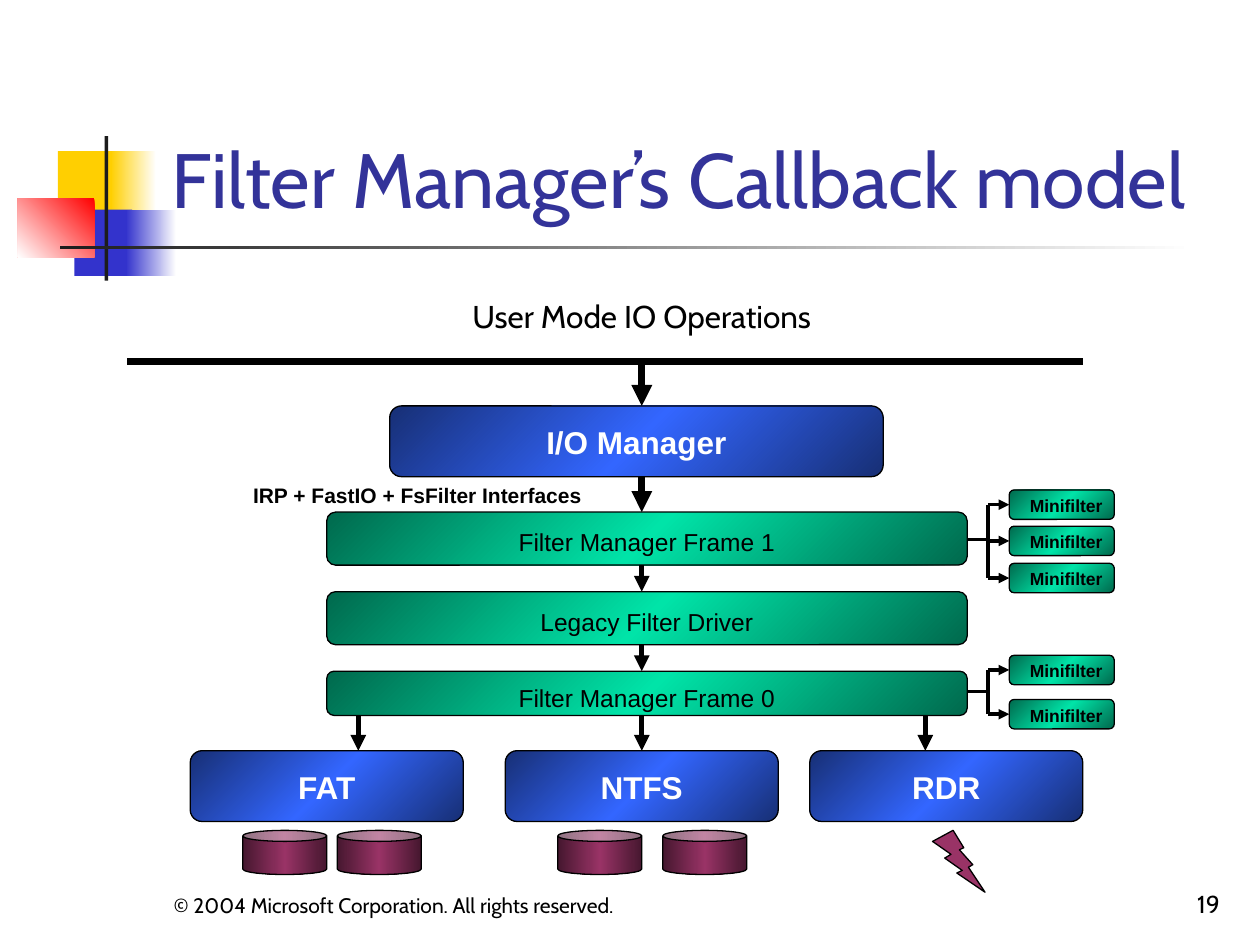
from dataclasses import dataclass

from lxml import etree
from pptx import Presentation
from pptx import util as u
from pptx.dml.color import RGBColor
from pptx.enum import shapes, text
from pptx.oxml import ns

WIDTH, HEIGHT = 10, 7.5
# Diagram grid: columns of 1/12 inch, and 61 rows from the heading to the disks
LEFT, TOP = 1.01, 2.31
COL, ROW = 1 / 12, 4.28 / 61


@dataclass(frozen=True)
class Theme:
    heading_font: str = "Cabin"
    diagram_font: str = "Arial"
    black: str = "000000"
    white: str = "FFFFFF"
    title: str = "333399"
    yellow: str = "FFCF01"
    indigo: str = "3333CC"
    red: str = "FF0000"
    ink: str = "1C1C1C"
    plum: str = "993366"
    blue_fade: tuple = ("172F75", "3366FF", "172F75")
    green_fade: tuple = ("00694D", "00E4A8", "00694D")
    plum_fade: tuple = ("46172F", "993366", "46172F")
    title_size: int = 44
    large: int = 18
    medium: int = 14
    small: int = 12
    tiny: int = 10


THEME = Theme()
KIND = shapes.MSO_SHAPE
ALIGN = text.PP_ALIGN
ANCHOR = text.MSO_ANCHOR


def share(x, y, width, height):
    """Frame given as shares of the slide's size."""
    return [u.Inches(n) for n in (x * WIDTH, y * HEIGHT, width * WIDTH, height * HEIGHT)]


def point(col, row):
    return u.Inches(LEFT + col * COL), u.Inches(TOP + row * ROW)


def cells(col, row, cols, rows):
    """Frame given in columns and rows of the diagram grid."""
    return [*point(col, row), u.Inches(cols * COL), u.Inches(rows * ROW)]


def write(shape, words, *, size, font=THEME.diagram_font, color=THEME.black, bold=False,
          align=ALIGN.CENTER, anchor=ANCHOR.TOP, insets=(0.1, 0.05, 0.1, 0.05), wrap=True):
    frame = shape.text_frame
    frame.auto_size = text.MSO_AUTO_SIZE.NONE
    frame.word_wrap = wrap
    frame.vertical_anchor = anchor
    (frame.margin_left, frame.margin_top,
     frame.margin_right, frame.margin_bottom) = map(u.Inches, insets)
    para = frame.paragraphs[0]
    para.alignment = align
    span = para.add_run()
    span.text = words
    span.font.name, span.font.size, span.font.bold = font, u.Pt(size), bold
    span.font.color.rgb = RGBColor.from_string(color)


def paint(shape, fill, angle):
    """Fill with one colour, or with evenly spaced stops along a clockwise angle."""
    if isinstance(fill, str):
        shape.fill.solid()
        shape.fill.fore_color.rgb = RGBColor.from_string(fill)
        return
    shape.fill.gradient()
    shape.fill.gradient_angle = 360 - angle
    stops = shape._element.spPr.find(".//" + ns.qn("a:gsLst"))
    stops.clear()
    for index, color in enumerate(fill):
        position = str(100000 * index // (len(fill) - 1))
        stop = etree.SubElement(stops, ns.qn("a:gs"), pos=position)
        etree.SubElement(stop, ns.qn("a:srgbClr"), val=color)


def add_box(page, kind, frame, fill, angle=180, outlined=True):
    box = page.shapes.add_shape(kind, *frame)
    box.shadow.inherit = False
    paint(box, fill, angle)
    if outlined:
        box.line.color.rgb = RGBColor.from_string(THEME.black)
        box.line.width = u.Pt(0.75)
    else:
        box.line.fill.background()
    return box


def add_node(page, words, frame, fill, **style):
    box = add_box(page, KIND.ROUNDED_RECTANGLE, frame, fill, angle=225)
    write(box, words, **style)


def add_line(page, start, end, width, arrow=True):
    line = page.shapes.add_connector(shapes.MSO_CONNECTOR.STRAIGHT, *point(*start), *point(*end))
    line.line.color.rgb = RGBColor.from_string(THEME.black)
    line.line.width = u.Pt(width)
    if arrow:
        etree.SubElement(line.line._get_or_add_ln(), ns.qn("a:tailEnd"), type="triangle")
    etree.SubElement(line._element.spPr, ns.qn("a:effectLst"))


def add_text(page, words, frame, **style):
    write(page.shapes.add_textbox(*frame), words, **style)


def add_emblem(page):
    """Overlapping colour blocks with crossing rules beside the title."""
    blocks = [
        ((0.046, 0.16, 0.048, 0.07), THEME.yellow, 180),
        ((0.088, 0.16, 0.036, 0.07), (THEME.white, THEME.yellow), 180),
        ((0.059, 0.222, 0.046, 0.07), THEME.indigo, 180),
        ((0.1, 0.222, 0.04, 0.07), (THEME.white, THEME.indigo), 180),
        ((0.014, 0.21, 0.061, 0.062), (THEME.red, THEME.white), 135),
        ((0.083, 0.144, 0.003, 0.153), THEME.ink, 180),
        ((0.048, 0.26, 0.9, 0.004), (THEME.white, THEME.ink), 180),
    ]
    for frame, fill, angle in blocks:
        add_box(page, KIND.RECTANGLE, share(*frame), fill, angle, outlined=False)


def add_title(page):
    title = page.shapes.title
    title.left, title.top, title.width, title.height = share(0.126, 0.03, 0.852, 0.214)
    write(title, "Filter Manager’s Callback model", size=THEME.title_size,
          font=THEME.heading_font, color=THEME.title, align=ALIGN.LEFT, anchor=ANCHOR.BOTTOM)
    page.shapes._spTree.append(title._element)  # in front of the emblem


def add_stack(page):
    """User mode boundary, I/O manager and the filter frames below it."""
    add_text(page, "User Mode IO Operations", cells(21.5, 0, 55, 5.7),
             size=THEME.large, font=THEME.heading_font)
    add_line(page, (0, 8), (91, 8), 4, arrow=False)
    add_node(page, "I/O Manager", cells(25, 13, 47, 8), THEME.blue_fade, size=THEME.large,
             color=THEME.white, bold=True, insets=(0, 0.11, 0, 0))
    add_text(page, "IRP + FastIO + FsFilter Interfaces", cells(10.8, 21, 34, 4.3),
             size=THEME.small, bold=True, align=ALIGN.LEFT)
    frames = [("Filter Manager Frame 1", 25, 6, 0.1),
              ("Legacy Filter Driver", 34, 6, 0.1),
              ("Filter Manager Frame 0", 43, 5, 0.08)]
    for words, row, rows, inset in frames:
        add_node(page, words, cells(19, row, 61, rows), THEME.green_fade,
                 size=THEME.medium, insets=(0, inset, 0, 0))
    for start, end, width in [(8, 13, 4), (21, 25, 4), (31, 34, 3), (40, 43, 3)]:
        add_line(page, (49, start), (49, end), width)


def add_minifilters(page, frame_row, rows):
    """Minifilters at the given rows, branching from a filter frame."""
    height = 10 / 3
    middles = [row + height / 2 for row in rows]
    add_line(page, (80, frame_row), (82, frame_row), 2, arrow=False)
    add_line(page, (82, middles[0]), (82, middles[-1]), 2, arrow=False)
    for row, middle in zip(rows, middles):
        add_node(page, "Minifilter", cells(84, row, 10, height), THEME.green_fade,
                 size=THEME.tiny, bold=True, insets=(0.07, 0.03, 0, 0), wrap=False)
        add_line(page, (82, middle), (84, middle), 2)


def add_file_systems(page):
    """File systems, each with its arrow and its disks or network link."""
    systems = [("FAT", 6, 22, (11, 20)), ("NTFS", 36, 49, (41, 51)), ("RDR", 65, 76, ())]
    for words, col, arrow_col, disks in systems:
        add_node(page, words, cells(col, 52, 26, 8), THEME.blue_fade, size=THEME.large,
                 color=THEME.white, bold=True, insets=(0, 0.11, 0, 0))
        add_line(page, (arrow_col, 48), (arrow_col, 52), 3)
        for disk in disks:
            add_box(page, KIND.CAN, cells(disk, 61, 8, 5), THEME.plum_fade)
    add_box(page, KIND.LIGHTNING_BOLT, cells(76.7, 61, 5, 7), THEME.plum)


def add_footer(page):
    style = dict(font=THEME.heading_font, anchor=ANCHOR.BOTTOM)
    add_text(page, "© 2004 Microsoft Corporation. All rights reserved.",
             share(0.128, 0.911, 0.589, 0.067), size=THEME.small, align=ALIGN.LEFT, **style)
    add_text(page, "19", share(0.77, 0.911, 0.208, 0.067),
             size=THEME.medium, align=ALIGN.RIGHT, **style)


def main():
    deck = Presentation()
    deck.slide_width, deck.slide_height = u.Inches(WIDTH), u.Inches(HEIGHT)
    page = deck.slides.add_slide(deck.slide_layouts.get_by_name("Title Only"))
    add_emblem(page)
    add_title(page)
    add_stack(page)
    add_minifilters(page, 28.1, (22.5, 26.6, 30.8))
    add_minifilters(page, 45.3, (41.2, 46.2))
    add_file_systems(page)
    add_footer(page)
    deck.save("out.pptx")


if __name__ == "__main__":
    main()
